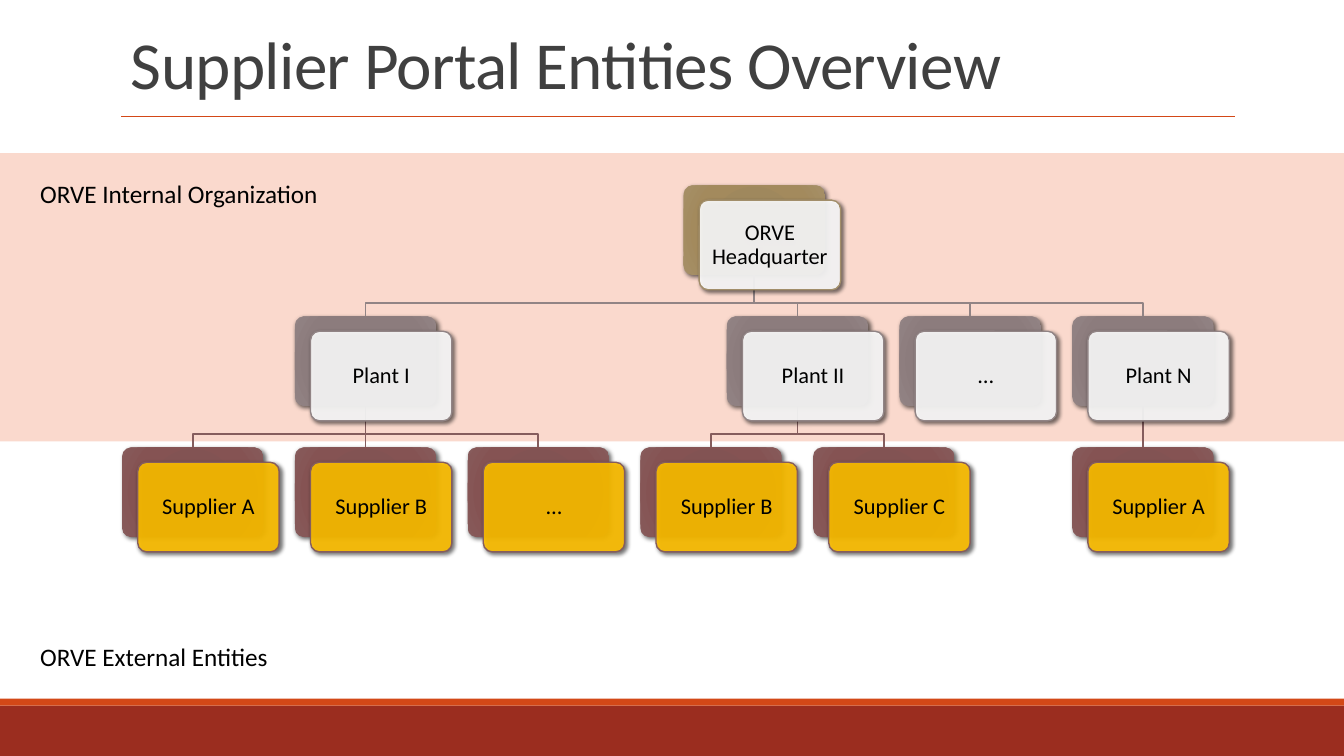
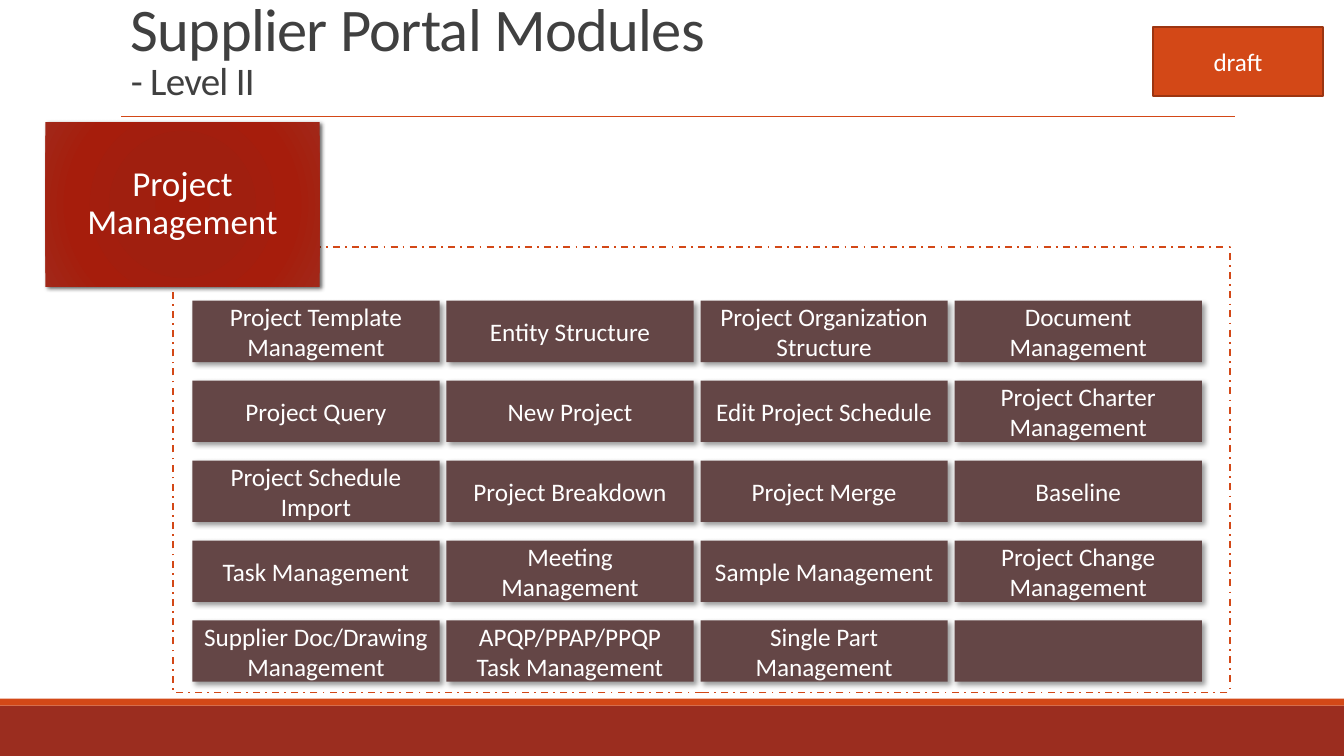
from collections import namedtuple

from lxml import etree
from pptx import Presentation
from pptx.dml.color import RGBColor
from pptx.enum.dml import MSO_LINE
from pptx.enum.shapes import MSO_CONNECTOR, MSO_SHAPE
from pptx.enum.text import MSO_ANCHOR, PP_ALIGN
from pptx.oxml.ns import qn
from pptx.util import Pt

WIDTH, HEIGHT = 960, 540
ORANGE, BRICK, PINK, PLUM = "D34817", "9B2D1F", "FAD9CD", "644646"
DARK, BLACK, WHITE, AMBER = "404040", "000000", "FFFFFF", "FFC000"

Shadow = namedtuple("Shadow", "alpha blur distance")
BACK_SHADOW = Shadow(60, 3.5, 2)
FRONT_SHADOW = Shadow(60, 3, 2)
MODULE_SHADOW = Shadow(40, 4, 3)

Level = namedtuple("Level", "gradient line card")
LEVELS = [
    Level(["9F875B", "9F885D", "A38A5D", "A58F67"], "A28E6A", WHITE),
    Level(["89797A", "8A7B7C", "8C7C7D", "928384"], "918485", WHITE),
    Level(["825151", "825353", "855353", "875B5B"], "855D5D", AMBER),
]
PROJECT_GRADIENT = ["A21D0C", "A01F0F", "A61D0C", "A12819"]

# Each entity: label, level, column, index of its parent
Entity = namedtuple("Entity", "label level col parent")
ENTITIES = [
    Entity("ORVE Headquarter", 0, 3.25, None),
    Entity("Plant I", 1, 1, 0),
    Entity("Plant II", 1, 3.5, 0),
    Entity("…", 1, 4.5, 0),
    Entity("Plant N", 1, 5.5, 0),
    Entity("Supplier A", 2, 0, 1),
    Entity("Supplier B", 2, 1, 1),
    Entity("…", 2, 2, 1),
    Entity("Supplier B", 2, 3, 2),
    Entity("Supplier C", 2, 4, 2),
    Entity("Supplier A", 2, 5.5, 4),
]
CARD_W, CARD_H = 101, 64
COL_STEP, LEVEL_STEP = 123.4, 93.6
ORG_LEFT, ORG_TOP = 87.2, 132.4
FRONT_DX, FRONT_DY = 11.2, 10.6
ELBOW_DROP = 20.2

MODULES = [
    ["Project Template Management", "Entity Structure",
     "Project Organization Structure", "Document Management"],
    ["Project Query", "New Project",
     "Edit Project Schedule", "Project Charter Management"],
    ["Project Schedule Import", "Project Breakdown",
     "Project Merge", "Baseline"],
    ["Task Management", "Meeting Management",
     "Sample Management", "Project Change Management"],
    ["Supplier Doc/Drawing Management", "APQP/PPAP/PPQP Task Management",
     "Single Part Management", ""],
]


def rgb(color):
    return RGBColor.from_string(color)


def add_color(parent, color, alpha=100):
    el = etree.SubElement(parent, qn("a:srgbClr"), val=color)
    if alpha < 100:
        etree.SubElement(el, qn("a:alpha"), val=str(alpha * 1000))


def set_gradient(sp, colors):
    """Fill with a circular gradient through four colours."""
    sp.fill.gradient()
    grad = sp._element.spPr.find(qn("a:gradFill"))
    for child in list(grad):
        grad.remove(child)
    stops = etree.SubElement(grad, qn("a:gsLst"))
    for pos, color in zip((0, 34, 70, 100), colors):
        add_color(etree.SubElement(stops, qn("a:gs"), pos=str(pos * 1000)), color)
    circle = etree.SubElement(grad, qn("a:path"), path="circle")
    etree.SubElement(circle, qn("a:fillToRect"), **dict.fromkeys("ltrb", "100000"))


def set_shadow(sp, shadow):
    sp.shadow.inherit = False
    if shadow:
        effects = sp._element.spPr.find(qn("a:effectLst"))
        outer = etree.SubElement(
            effects, qn("a:outerShdw"), blurRad=str(Pt(shadow.blur)),
            dist=str(Pt(shadow.distance)), dir="2700000", algn="tl",
            rotWithShape="0")
        add_color(outer, BLACK, shadow.alpha)


class Deck:
    """Holds the shared style and the slide being drawn."""

    font = "Calibri"

    def __init__(self):
        self.prs = Presentation()
        self.prs.slide_width, self.prs.slide_height = Pt(WIDTH), Pt(HEIGHT)
        self.s = None

    def new_slide(self, *title):
        """Start a slide with bands, rule and title lines of (text, size)."""
        self.s = self.prs.slides.add_slide(self.prs.slide_layouts[6])
        self.box((0, 504, WIDTH, 36), BRICK)
        self.box((0, 499, WIDTH, 5), ORANGE)
        self.line((86.5, 83), (882.5, 83), ORANGE, 1)
        tf = self.s.shapes.add_textbox(Pt(86.4), Pt(19.5), Pt(792), Pt(58)).text_frame
        tf.word_wrap, tf.vertical_anchor = True, MSO_ANCHOR.BOTTOM
        p = tf.paragraphs[0]
        p.line_spacing = 0.85
        p.font.name, p.font.color.rgb = self.font, rgb(DARK)
        for i, (text, size) in enumerate(title):
            if i:
                p.add_line_break()
            r = p.add_run()
            r.text, r.font.size = text, Pt(size)
            r._r.get_or_add_rPr().set("spc", "-50")

    def box(self, at, fill=None, line=None, width=1.25, shadow=None, alpha=100,
            kind=MSO_SHAPE.RECTANGLE):
        """Add a shape; fill is a colour, a list of gradient colours or None."""
        sp = self.s.shapes.add_shape(kind, *map(Pt, at))
        if fill is None:
            sp.fill.background()
        elif isinstance(fill, list):
            set_gradient(sp, fill)
        else:
            sp.fill.solid()
            sp.fill.fore_color.rgb = rgb(fill)
            if alpha < 100:
                el = sp._element.spPr.find(qn("a:solidFill"))[0]
                etree.SubElement(el, qn("a:alpha"), val=str(alpha * 1000))
        if line:
            sp.line.color.rgb, sp.line.width = rgb(line), Pt(width)
        else:
            sp.line.fill.background()
        set_shadow(sp, shadow)
        return sp

    def card(self, at, fill, line=None, shadow=None, alpha=100):
        """Add a box with slightly rounded corners."""
        sp = self.box(at, fill, line, 1, shadow, alpha, MSO_SHAPE.ROUNDED_RECTANGLE)
        sp.adjustments[0] = 0.1
        return sp

    def caption(self, sp, text, size=18, color=WHITE, spacing=None, inset=None):
        """Put centred text in a shape."""
        tf = sp.text_frame
        tf.word_wrap, tf.vertical_anchor = True, MSO_ANCHOR.MIDDLE
        if inset is not None:
            tf.margin_left = tf.margin_right = Pt(inset)
            tf.margin_top = tf.margin_bottom = Pt(inset)
        p = tf.paragraphs[0]
        p.text, p.alignment, p.line_spacing = text, PP_ALIGN.CENTER, spacing
        self.style(p, size, color)

    def style(self, p, size, color):
        p.font.name, p.font.size, p.font.color.rgb = self.font, Pt(size), rgb(color)

    def label(self, at, text):
        tf = self.s.shapes.add_textbox(*map(Pt, at)).text_frame
        tf.word_wrap = True
        p = tf.paragraphs[0]
        p.text = text
        self.style(p, 18, BLACK)

    def line(self, start, end, color, width=1.25):
        cn = self.s.shapes.add_connector(
            MSO_CONNECTOR.STRAIGHT, *map(Pt, (*start, *end)))
        cn.line.color.rgb, cn.line.width = rgb(color), Pt(width)
        etree.SubElement(cn._element.spPr, qn("a:effectLst"))
        return cn

    def elbow(self, start, end, color):
        """Draw down, across and down again."""
        (x1, y1), (x2, y2) = start, end
        bend = y1 + ELBOW_DROP
        builder = self.s.shapes.build_freeform(Pt(x1), Pt(y1))
        builder.add_line_segments(
            [(Pt(x), Pt(y)) for x, y in ((x1, bend), (x2, bend), (x2, y2))],
            close=False)
        sp = builder.convert_to_shape()
        sp.fill.background()
        sp.line.color.rgb, sp.line.width = rgb(color), Pt(1.25)
        set_shadow(sp, None)


def corner(entity):
    return ORG_LEFT + entity.col * COL_STEP, ORG_TOP + entity.level * LEVEL_STEP


def entities_slide(deck):
    deck.new_slide(("Supplier Portal Entities Overview", 48))
    deck.box((0, 109.4, WIDTH, 206), PINK)

    backs = [deck.card((*corner(e), CARD_W, CARD_H), LEVELS[e.level].gradient,
                       shadow=BACK_SHADOW) for e in ENTITIES]

    for e, back in zip(ENTITIES, backs):
        if e.parent is None:
            continue
        parent = ENTITIES[e.parent]
        (px, py), (x, y) = corner(parent), corner(e)
        start, end = (px + CARD_W / 2, py + CARD_H), (x + CARD_W / 2, y)
        color = LEVELS[e.level].line
        if parent.col == e.col:
            cn = deck.line(start, end, color)
            cn.begin_connect(backs[e.parent], 2)
            cn.end_connect(back, 0)
        else:
            deck.elbow(start, end, color)

    for e in ENTITIES:
        x, y = corner(e)
        level = LEVELS[e.level]
        front = deck.card((x + FRONT_DX, y + FRONT_DY, CARD_W, CARD_H),
                          level.card, level.line, FRONT_SHADOW, alpha=90)
        deck.caption(front, e.label, 16, BLACK, spacing=0.9, inset=5)

    deck.label((21.6, 124, 230, 29), "ORVE Internal Organization")
    deck.label((21.6, 454.5, 230, 29), "ORVE External Entities")


def modules_slide(deck):
    deck.new_slide(("Supplier Portal Modules", 43.2), ("- Level II", 27.9))
    frame = deck.box((123.8, 176.4, 754.6, 318.2), line=ORANGE)
    frame.line.dash_style = MSO_LINE.DASH_DOT
    project = deck.box((32.4, 87.2, 196, 117.6), PROJECT_GRADIENT, shadow=FRONT_SHADOW)
    deck.caption(project, "Project Management", 25, spacing=0.9, inset=7)

    for row, names in enumerate(MODULES):
        for col, name in enumerate(names):
            sp = deck.box((137.4 + col * 181.5, 214.8 + row * 57.1, 176.6, 43.8),
                          PLUM, shadow=MODULE_SHADOW)
            if name:
                deck.caption(sp, name)

    deck.caption(deck.box((823.5, 19.4, 121.6, 49.4), ORANGE, "9C3511"), "draft")


def main():
    deck = Deck()
    entities_slide(deck)
    modules_slide(deck)
    deck.prs.save("out.pptx")


if __name__ == "__main__":
    main()
